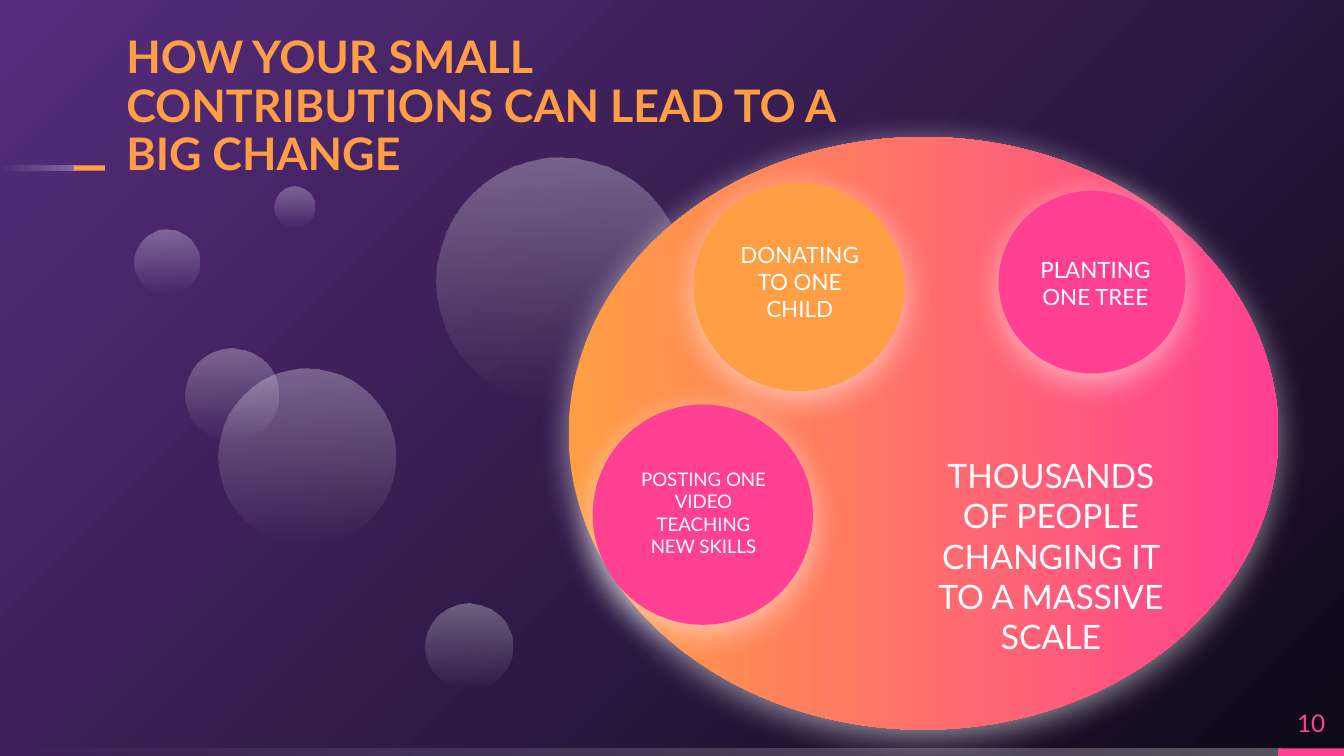
from lxml import etree
from pptx import Presentation
from pptx.dml.color import RGBColor
from pptx.enum.shapes import MSO_SHAPE
from pptx.enum.text import MSO_ANCHOR, PP_ALIGN
from pptx.oxml.ns import qn
from pptx.util import Pt

OVAL, RECT = MSO_SHAPE.OVAL, MSO_SHAPE.RECTANGLE
MIDDLE, BOTTOM = MSO_ANCHOR.MIDDLE, MSO_ANCHOR.BOTTOM
LEFT, CENTER = PP_ALIGN.LEFT, PP_ALIGN.CENTER

COLORS = {
    "purple": "572D7E",
    "night": "0E0918",
    "orange": "FF9E44",
    "pink": "FF4093",
    "white": "FFFFFF",
}
FONT = "Lato"
FADE = [("white", 30), ("white", 0)]


def rgb(name):
    """Return the named colour."""
    return RGBColor.from_string(COLORS[name])


def add_color(parent, name, alpha):
    """Append a colour with its opacity in percent."""
    clr = etree.SubElement(parent, qn("a:srgbClr"), val=COLORS[name])
    if alpha < 100:
        etree.SubElement(clr, qn("a:alpha"), val=str(alpha * 1000))


def set_gradient(fill, stops, angle):
    """Give a fill two (colour, opacity) stops and a clockwise angle."""
    fill.gradient()
    fill.gradient_angle = -angle % 360
    for stop, (name, alpha) in zip(fill.gradient_stops, stops):
        stop.color.rgb = rgb(name)
        if alpha < 100:
            clr = stop._gs.find(qn("a:srgbClr"))
            etree.SubElement(clr, qn("a:alpha"), val=str(alpha * 1000))
    stop.position = 1
    fill.gradient_stops[0].position = 0


def add_shape(slide, kind, box, color=None, stops=None, angle=0):
    """Add a borderless shape with a solid or gradient fill."""
    sp = slide.shapes.add_shape(kind, *map(Pt, box))
    sp.shadow.inherit = False
    sp.line.fill.background()
    if stops:
        set_gradient(sp.fill, stops, angle)
    else:
        sp.fill.solid()
        sp.fill.fore_color.rgb = rgb(color)
    return sp


def add_glow(sp):
    """Put a soft white shadow below a shape."""
    effects = sp._element.spPr.find(qn("a:effectLst"))
    shadow = etree.SubElement(
        effects, qn("a:outerShdw"), blurRad=str(Pt(18)), dist=str(Pt(4)),
        dir="5400000", algn="bl", rotWithShape="0")
    add_color(shadow, "white", 55)


def add_text(slide, box, text, size, color="white", inset=7.2,
             align=CENTER, anchor=MIDDLE, bold=False, spacing=None):
    """Add a wrapped one-paragraph text box."""
    tf = slide.shapes.add_textbox(*map(Pt, box)).text_frame
    tf.word_wrap = True
    tf.vertical_anchor = anchor
    tf.margin_left = tf.margin_right = Pt(inset)
    tf.margin_top = tf.margin_bottom = Pt(inset)
    tf.text = text
    p = tf.paragraphs[0]
    p.alignment = align
    p.line_spacing = spacing
    font = p.runs[0].font
    font.name, font.size, font.bold = FONT, Pt(size), bold
    font.color.rgb = rgb(color)


def add_footer(slide, x, y, w, h):
    """Draw the page number above a two-part bottom bar."""
    bar, accent = 4, 35.3
    left, top = x + w - accent, y + h - bar
    add_shape(slide, RECT, (x, top, w - accent + 2, bar), stops=FADE, angle=180)
    add_shape(slide, RECT, (left, top, accent, bar), "pink")
    add_text(slide, (left, y, accent, h - bar), "10", 13, "pink", inset=0)


def add_header(slide, x, y, w, h):
    """Draw the title with a dash beside its last line."""
    dash_y = y + 23.1
    add_shape(slide, RECT, (x, dash_y, 40.3, 2.9), stops=FADE, angle=180)
    add_shape(slide, RECT, (x + 39.6, dash_y, 16.6, 2.9), "orange")
    title = "HOW YOUR SMALL CONTRIBUTIONS CAN LEAD TO A BIG CHANGE"
    add_text(slide, (x + 67.7, y, w - 67.7, h), title, 24, "orange", inset=0,
             align=LEFT, anchor=BOTTOM, bold=True, spacing=0.9)


def add_bubbles(slide, x, y):
    """Scatter translucent bubbles from the given corner."""
    bubbles = [
        (156.2, 239, 46.3),
        (0, 38.9, 34.8),
        (45.2, 113, 94.5),
        (162, 0, 132.5),
        (27.2, 102.3, 49.7),
        (74.9, 16, 21.8),
    ]
    for dx, dy, d in bubbles:
        add_shape(slide, OVAL, (x + dx, y + dy, d, d), stops=FADE, angle=90)


def add_impact(slide, x, y, w, h):
    """Draw the large oval holding three small contributions."""
    stops = [("orange", 100), ("pink", 100)]
    add_glow(add_shape(slide, OVAL, (x, y, w, h), stops=stops))
    add_text(slide, (x + 185, y + 178.6, 146.9, 91.4),
             "THOUSANDS OF PEOPLE CHANGING IT TO A MASSIVE SCALE", 18)
    contributions = [
        ("DONATING TO ONE CHILD", 12, "orange",
         (67, 24.5, 113, 111.6), (75.6, 40.4, 96.5, 74.2)),
        ("POSTING ONE VIDEO TEACHING NEW SKILLS", 10, "pink",
         (12.9, 143.3, 118, 118), (30.2, 164.2, 84.2, 74.2)),
        ("PLANTING ONE TREE", 12, "pink",
         (230.4, 28.8, 100, 97.9), (239.7, 51.2, 85, 54)),
    ]
    for text, size, color, circle, label in contributions:
        (cx, cy, *c_size), (lx, ly, *l_size) = circle, label
        add_glow(add_shape(slide, OVAL, (x + cx, y + cy, *c_size), color))
        add_text(slide, (x + lx, y + ly, *l_size), text, size)


def main():
    """Build the slide and save it."""
    prs = Presentation()
    prs.slide_width, prs.slide_height = Pt(720), Pt(405)
    slide = prs.slides.add_slide(prs.slide_layouts[6])
    set_gradient(slide.background.fill, [("purple", 100), ("night", 100)], 45)
    add_footer(slide, 0, 373.7, 720, 31.3)
    add_header(slide, 0, 65.5, 485.3, 31)
    add_bubbles(slide, 72, 84.2)
    add_impact(slide, 304.6, 73.4, 380.2, 317.5)
    prs.save("out.pptx")


if __name__ == "__main__":
    main()
